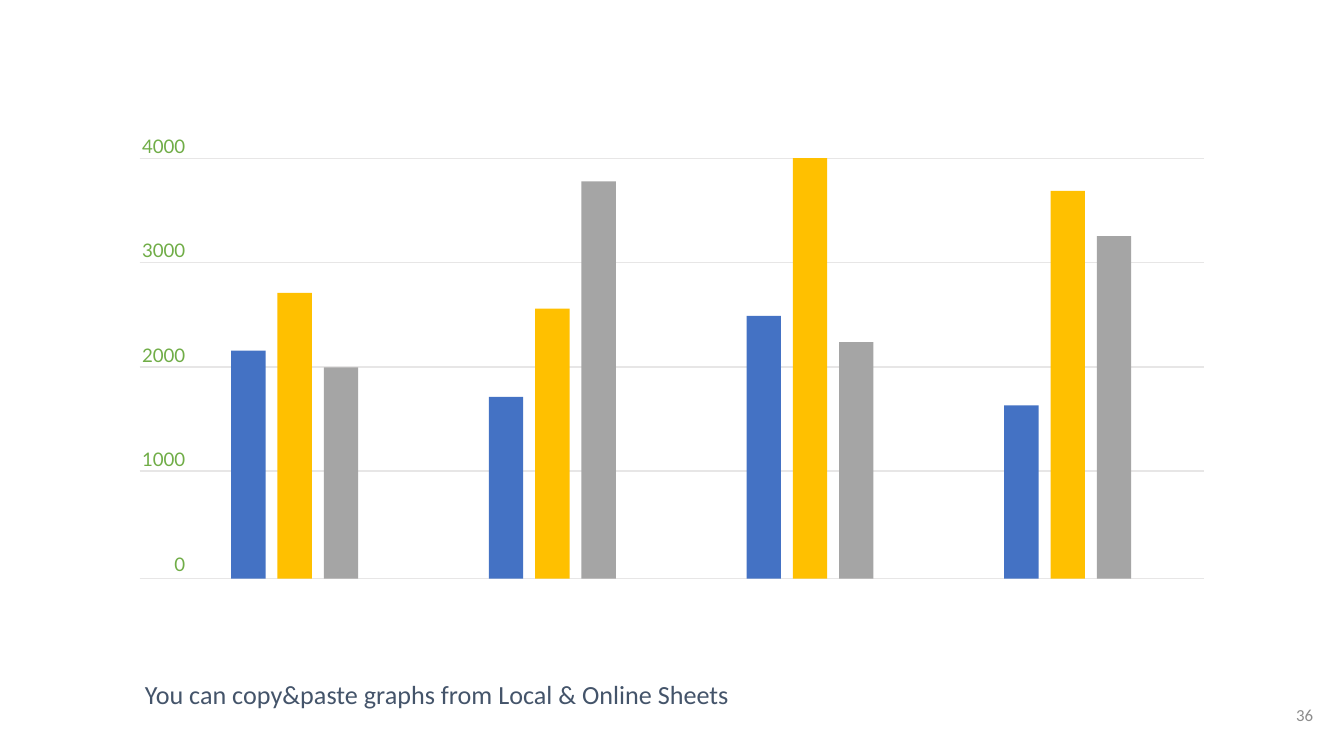
from pptx import Presentation, util as u
from pptx.dml.color import RGBColor
from pptx.enum import shapes, text
from pptx.oxml.ns import qn
from lxml import etree

# Axis geometry in cm
LEFT, RIGHT = 2.64, 22.76
TOP, BASE = 2.99, 10.93
GRID_STEP = 1.97
AXIS_MAX = 4000

# Bar geometry in cm
FIRST_BAR, BAR_W = 4.37, 0.65
BAR_STEP, GROUP_STEP = 0.875, 4.87

COLORS = ["4472C4", "FFC000", "A5A5A5"]
GROUPS = [
    (2170, 2720, 2010),
    (1730, 2570, 3780),
    (2500, 4000, 2250),
    (1650, 3690, 3260),
]


def rgb(value):
    return RGBColor.from_string(value)


def box(*lengths):
    return [u.Cm(n) for n in lengths]


def set_frame(tf, inset, anchor):
    tf.word_wrap = True
    tf.auto_size = text.MSO_AUTO_SIZE.NONE
    tf.vertical_anchor = anchor
    tf.margin_left = tf.margin_right = u.Cm(inset)
    tf.margin_top = tf.margin_bottom = u.Cm(inset)


def add_run(p, words, size, font, color):
    r = p.add_run()
    r.text = words
    r.font.size = u.Pt(size)
    r.font.name = font
    r.font.color.rgb = rgb(color)


def add_caption(s, words):
    sp = s.placeholders[1]
    sp.left, sp.top, sp.width, sp.height = box(2.49, 12.7, 20.12, 0.97)
    set_frame(sp.text_frame, 0.25, text.MSO_ANCHOR.BOTTOM)
    p = sp.text_frame.paragraphs[0]
    p.line_spacing = 0.9
    p.space_before = u.Pt(0)
    add_run(p, words, 14, "Calibri", "44546A")


def add_right_text(s, place, lines, inset, size, font, color, gap=0):
    tf = s.shapes.add_textbox(*box(*place)).text_frame
    set_frame(tf, inset, text.MSO_ANCHOR.TOP)
    for i, line in enumerate(lines):
        p = tf.add_paragraph() if i else tf.paragraphs[0]
        p.alignment = text.PP_ALIGN.RIGHT
        if i:
            p.space_before = u.Pt(gap)
        add_run(p, line, size, font, color)


def add_gridline(s, y):
    line = s.shapes.add_connector(
        shapes.MSO_CONNECTOR.STRAIGHT, *box(LEFT, y, RIGHT, y))
    line.line.color.rgb = rgb("E7E6E6")
    line.line.width = u.Pt(0.75)
    etree.SubElement(line._element.spPr, qn("a:effectLst"))


def add_bar(s, x, value, color):
    height = (BASE - TOP) * value / AXIS_MAX
    sp = s.shapes.add_shape(
        shapes.MSO_SHAPE.RECTANGLE, *box(x, BASE - height, BAR_W, height))
    sp.shadow.inherit = False
    sp.fill.solid()
    sp.fill.fore_color.rgb = rgb(color)
    sp.line.fill.background()


def main():
    prs = Presentation()
    prs.slide_width, prs.slide_height = box(25.4, 14.28)
    # Section header layout: its body placeholder has no bullets
    s = prs.slides.add_slide(prs.slide_layouts[2])
    title = s.shapes.title._element
    title.getparent().remove(title)

    # Caption and page number
    add_caption(s, "You can copy&paste graphs from Local & Online Sheets")
    add_right_text(s, (23.55, 13.06, 1.52, 0.86), ["36"],
                   0.25, 9, "Calibri", "8C8C8C")

    # Gridlines and axis labels
    for y in [TOP + i * GRID_STEP for i in range(4)] + [BASE]:
        add_gridline(s, y)
    labels = [str(n) for n in range(AXIS_MAX, -1, -1000)]
    add_right_text(s, (LEFT, 2.54, 0.86, 8.41), labels,
                   0, 10, "Lato", "70AD47", gap=44)

    # Grouped bars
    for g, values in enumerate(GROUPS):
        for b, (value, color) in enumerate(zip(values, COLORS)):
            x = FIRST_BAR + g * GROUP_STEP + b * BAR_STEP
            add_bar(s, x, value, color)

    prs.save("out.pptx")


if __name__ == "__main__":
    main()
